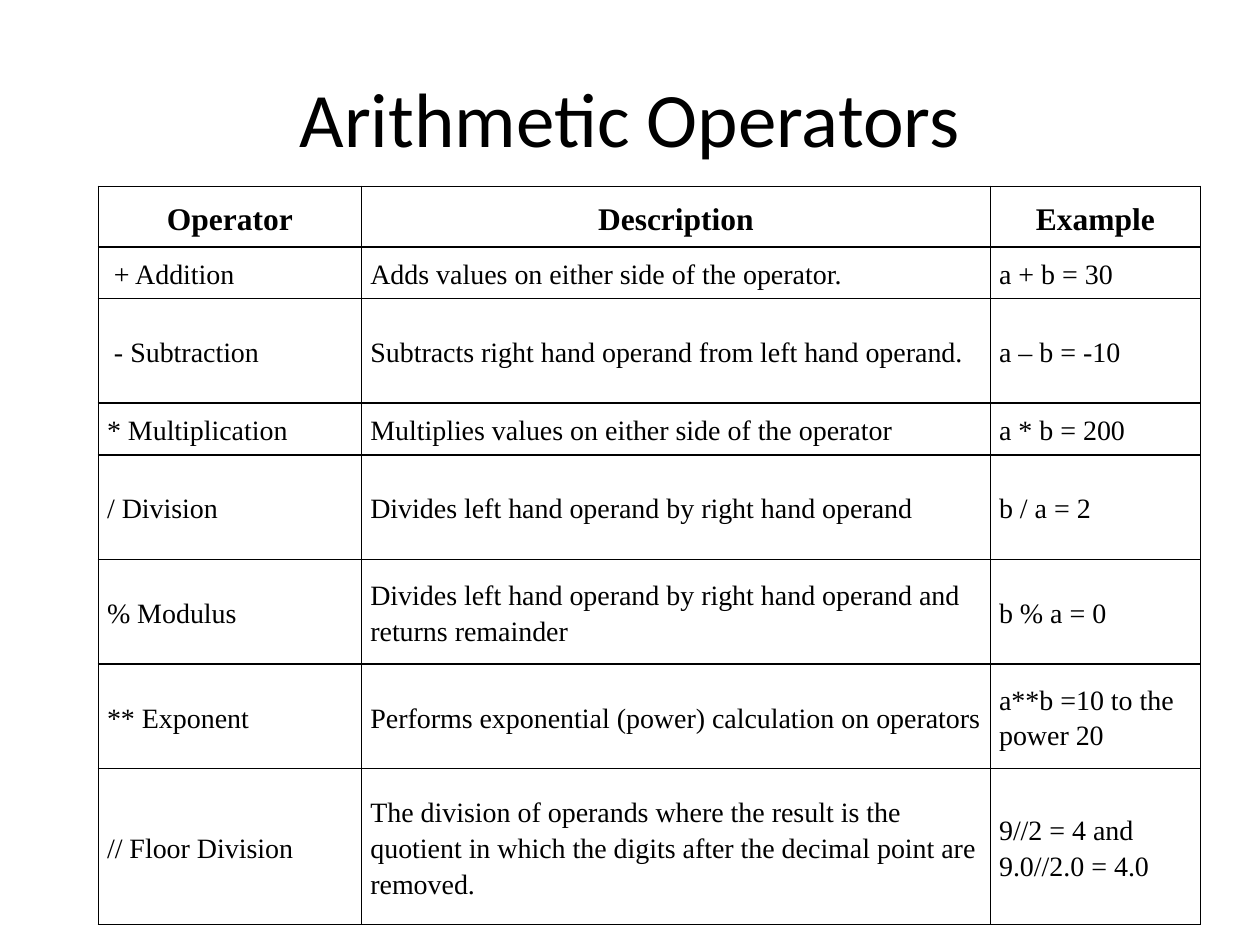
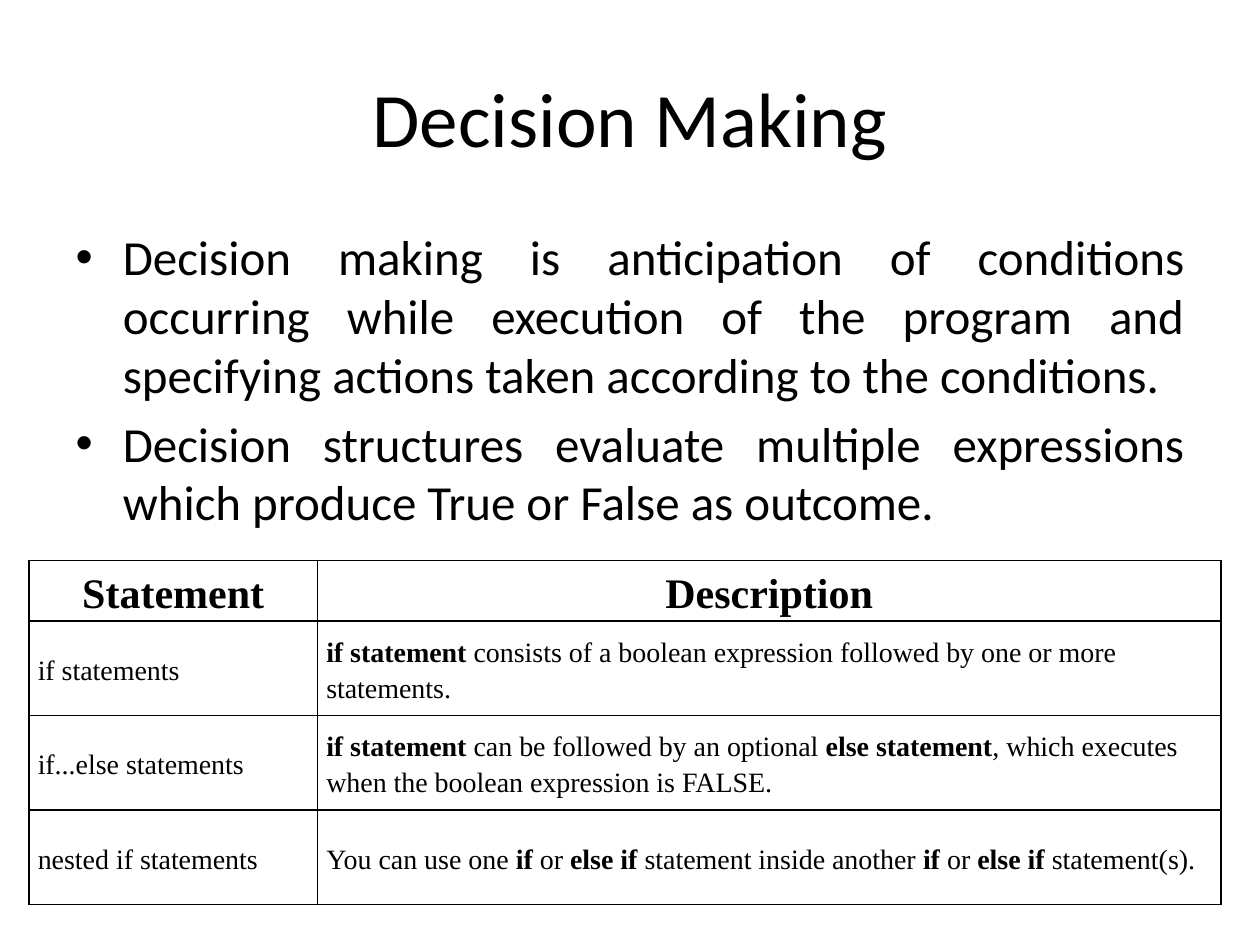
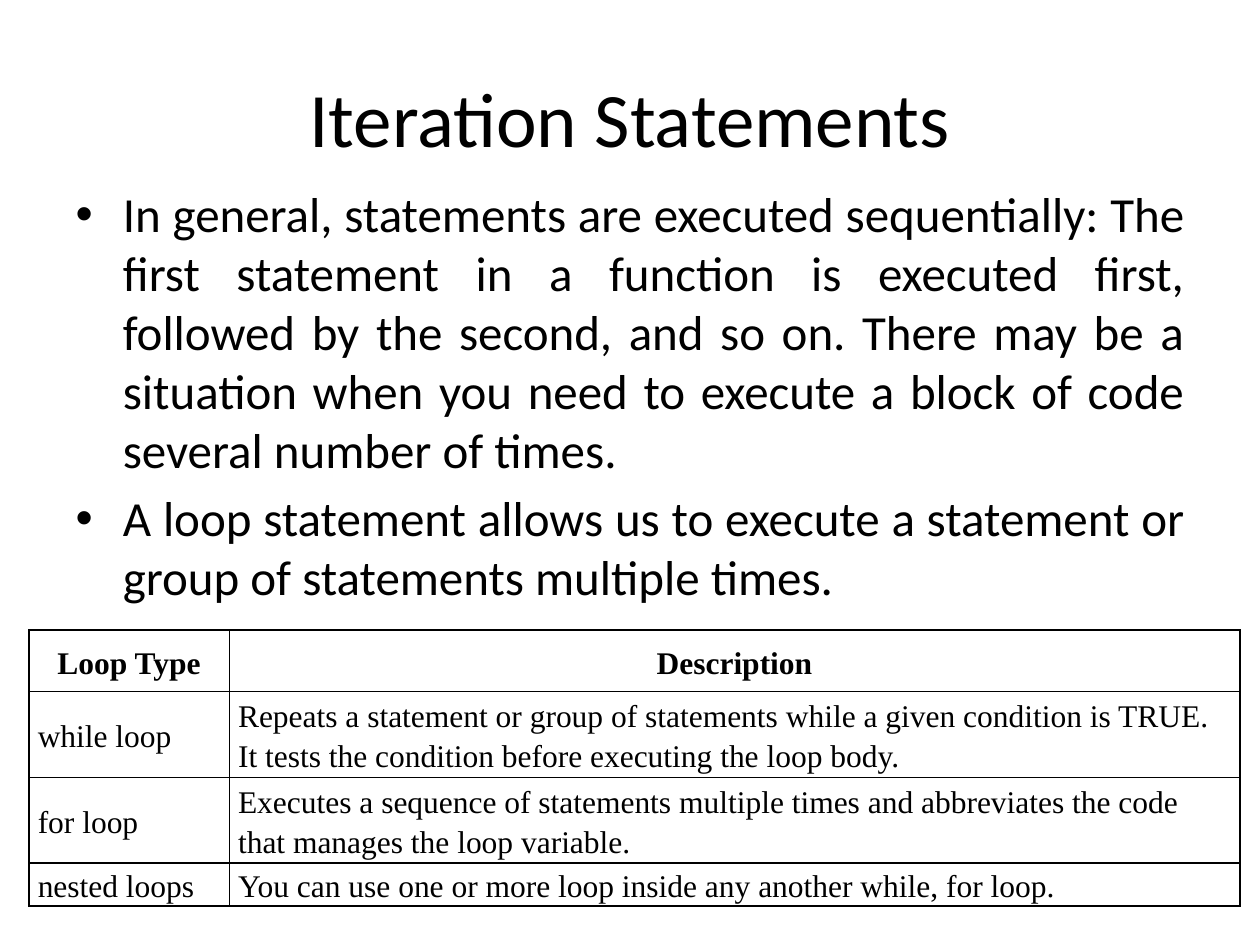
"""Build three slides on operators, decisions and loops, each with a ruled table."""
import pptx
import pptx.dml.color
import pptx.enum.text
import pptx.oxml
import pptx.oxml.ns
import pptx.util

Inches = pptx.util.Inches
Pt = pptx.util.Pt
Align = pptx.enum.text.PP_ALIGN

COLORS = {"text": "000000", "rule": "000000", "paper": "FFFFFF"}
FONTS = {"slide": "Calibri", "table": "Times New Roman"}
BOLD_MARK = "|"
TITLE_BOX = (0.5, 0.3, 9, 1.25)
TITLE_SIZE, BODY_SIZE = 44, 28

SLIDES = [
    {
        "title": "Arithmetic Operators",
        "table": {
            "origin": (0.78, 1.48),
            "columns": [2.09, 4.99, 1.67],
            "rows": [0.48, 0.41, 0.83, 0.41, 0.83, 0.83, 0.83, 1.24],
            "sizes": (18, 16),
            "cells": [
                ("Operator", "Description", "Example"),
                (" + Addition", "Adds values on either side of the operator.", "a + b = 30"),
                (" - Subtraction", "Subtracts right hand operand from left hand operand.",
                 "a – b = -10"),
                ("* Multiplication", "Multiplies values on either side of the operator",
                 "a * b = 200"),
                ("/ Division", "Divides left hand operand by right hand operand", "b / a = 2"),
                ("% Modulus",
                 "Divides left hand operand by right hand operand and returns remainder",
                 "b % a = 0"),
                ("** Exponent", "Performs exponential (power) calculation on operators",
                 "a**b =10 to the power 20"),
                ("// Floor Division",
                 "The division of operands where the result is the quotient in which "
                 "the digits after the decimal point are removed.",
                 "9//2 = 4 and 9.0//2.0 = 4.0"),
            ],
        },
    },
    {
        "title": "Decision Making",
        "body_top": 1.75,
        "bullets": [
            "Decision making is anticipation of conditions occurring while execution of "
            "the program and specifying actions taken according to the conditions.",
            "Decision structures evaluate multiple expressions which produce True or "
            "False as outcome.",
        ],
        "table": {
            "origin": (0.23, 4.45),
            "columns": [2.29, 7.17],
            "rows": [0.48, 0.75, 0.75, 0.75],
            "sizes": (24, 16),
            "cells": [
                ("Statement", "Description"),
                ("if statements",
                 "|if statement |consists of a boolean expression followed by one or more "
                 "statements."),
                ("if...else statements",
                 "|if statement |can be followed by an optional |else statement|, which "
                 "executes when the boolean expression is FALSE."),
                ("nested if statements",
                 "You can use one |if |or |else if |statement inside another |if |or "
                 "|else if |statement(s)."),
            ],
        },
    },
    {
        "title": "Iteration Statements",
        "body_top": 1.41,
        "bullets": [
            "In general, statements are executed sequentially: The first statement in a "
            "function is executed first, followed by the second, and so on. There may be "
            "a situation when you need to execute a block of code several number of times.",
            "A loop statement allows us to execute a statement or group of statements "
            "multiple times.",
        ],
        "table": {
            "origin": (0.23, 5),
            "columns": [1.59, 8.02],
            "rows": [0.49, 0.68, 0.68, 0.34],
            "sizes": (18, 18),
            "cells": [
                ("Loop Type", "Description"),
                ("while loop",
                 "Repeats a statement or group of statements while a given condition is "
                 "TRUE. It tests the condition before executing the loop body."),
                ("for loop",
                 "Executes a sequence of statements multiple times and abbreviates the "
                 "code that manages the loop variable."),
                ("nested loops",
                 "You can use one or more loop inside any another while, for loop."),
            ],
        },
    },
]


def color(name):
    return pptx.dml.color.RGBColor.from_string(COLORS[name])


def place(shape, box):
    shape.left, shape.top, shape.width, shape.height = map(Inches, box)


def style(run, font, size, bold=None):
    run.font.name = FONTS[font]
    run.font.size = Pt(size)
    run.font.bold = bold
    run.font.color.rgb = color("text")


def fill_placeholder(shape, box, lines, size, alignment):
    place(shape, box)
    shape.text_frame.text = "\n".join(lines)
    for paragraph in shape.text_frame.paragraphs:
        paragraph.alignment = alignment
        for run in paragraph.runs:
            style(run, "slide", size)


def rule_cell(cell):
    properties = cell._tc.get_or_add_tcPr()
    for side in ("lnL", "lnR", "lnT", "lnB"):
        properties.append(pptx.oxml.parse_xml(
            f'<a:{side} {pptx.oxml.ns.nsdecls("a")} w="{Pt(1)}"><a:solidFill>'
            f'<a:srgbClr val="{COLORS["rule"]}"/></a:solidFill></a:{side}>'))


def fill_cell(cell, text, size, is_header):
    cell.vertical_anchor = pptx.enum.text.MSO_ANCHOR.MIDDLE
    cell.margin_left = cell.margin_right = Inches(0.07)
    cell.margin_top = cell.margin_bottom = 0
    rule_cell(cell)
    cell.fill.solid()
    cell.fill.fore_color.rgb = color("paper")
    paragraph = cell.text_frame.paragraphs[0]
    paragraph.alignment = Align.CENTER if is_header else Align.LEFT
    paragraph.line_spacing = 1.15
    for index, part in enumerate(text.split(BOLD_MARK)):
        if part:
            run = paragraph.add_run()
            run.text = part
            style(run, "table", size, is_header or index % 2 == 1)


def add_ruled_table(slide, content):
    columns, rows = content["columns"], content["rows"]
    box = (*content["origin"], sum(columns), sum(rows))
    table = slide.shapes.add_table(len(rows), len(columns), *map(Inches, box)).table
    table.first_row = table.horz_banding = False
    for column, width in zip(table.columns, columns):
        column.width = Inches(width)
    header_size, cell_size = content["sizes"]
    for row_index, (row, height) in enumerate(zip(table.rows, rows)):
        row.height = Inches(height)
        is_header = row_index == 0
        for cell, text in zip(row.cells, content["cells"][row_index]):
            fill_cell(cell, text, header_size if is_header else cell_size, is_header)


def add_slide(presentation, content):
    layout_name = "Title and Content" if "bullets" in content else "Title Only"
    layout = presentation.slide_layouts.get_by_name(layout_name)
    slide = presentation.slides.add_slide(layout)
    fill_placeholder(slide.shapes.title, TITLE_BOX, [content["title"]], TITLE_SIZE, Align.CENTER)
    if "bullets" in content:
        fill_placeholder(slide.placeholders[1], (0.5, content["body_top"], 9, 4.95),
                         content["bullets"], BODY_SIZE, Align.JUSTIFY)
    add_ruled_table(slide, content["table"])


presentation = pptx.Presentation()
presentation.slide_width, presentation.slide_height = Inches(10), Inches(7.5)
for slide_content in SLIDES:
    add_slide(presentation, slide_content)
presentation.save("out.pptx")
